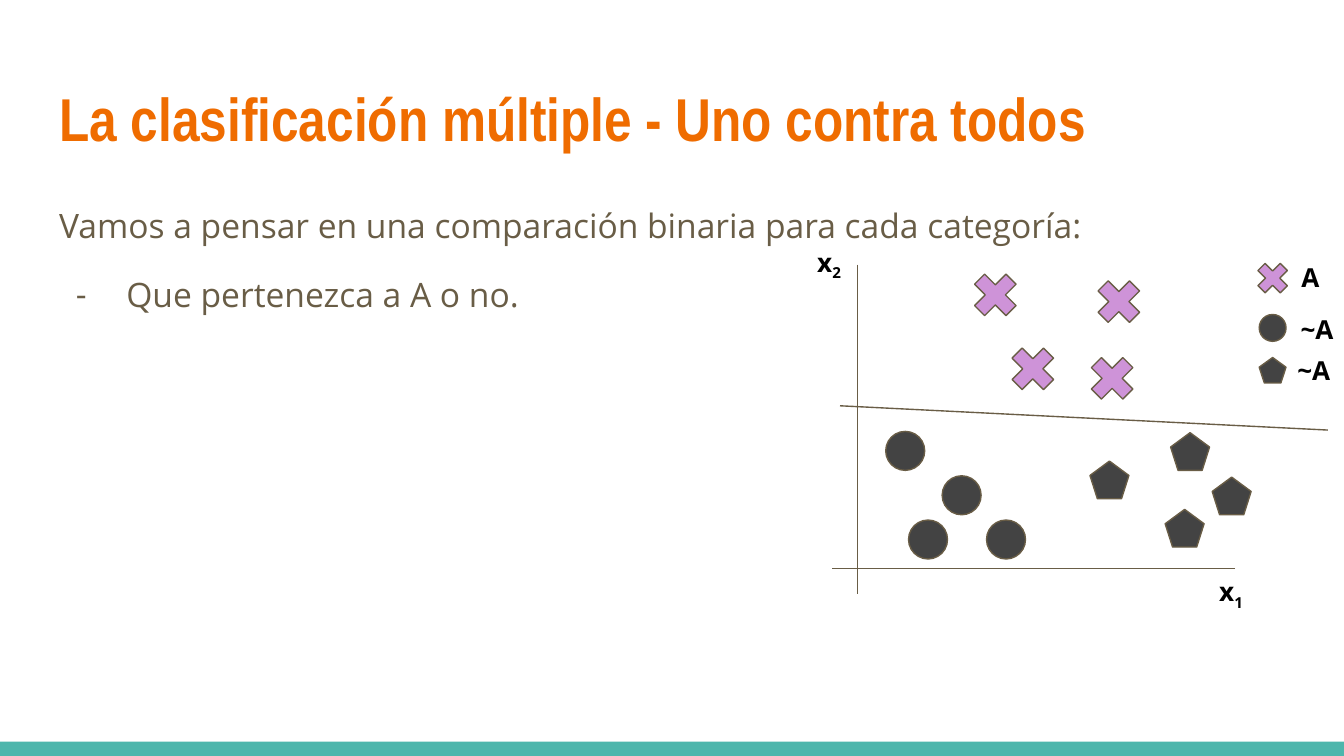
from pptx import Presentation
from pptx.dml.color import RGBColor
from pptx.enum.shapes import MSO_CONNECTOR, MSO_SHAPE as Shape
from pptx.enum.text import MSO_ANCHOR as Anchor, MSO_AUTO_SIZE as AutoSize, PP_ALIGN as Align
from pptx.oxml.ns import qn
from pptx.util import Pt
from lxml.etree import SubElement

TEAL, ORANGE, BROWN = "4DB6AC", "EF6C00", "695D46"
GREY, LILAC, BLACK = "434343", "CE93D8", "000000"
SANS, NARROW = "Open Sans", "Arial Narrow"
CROSS, CIRCLE, PENTAGON = Shape.MATH_MULTIPLY, Shape.OVAL, Shape.REGULAR_PENTAGON


def color(hex_code):
    return RGBColor.from_string(hex_code)


def add_span(para, text, size, font=SANS, fill=BROWN, bold=False, base=None):
    span = para.add_run()
    span.text = text
    span.font.size = Pt(size)
    span.font.name = font
    span.font.bold = bold
    span.font.color.rgb = color(fill)
    if base is not None:
        span.font._element.set("baseline", str(base))


def set_bullet(para, mark=None, margin=0, indent=0):
    props = para._p.get_or_add_pPr()
    props.set("marL", str(Pt(margin)))
    props.set("indent", str(Pt(indent)))
    if mark:
        tint = SubElement(props, qn("a:buClr"))
        SubElement(tint, qn("a:srgbClr"), val=BROWN)
        SubElement(props, qn("a:buFont"), typeface=SANS)
        SubElement(props, qn("a:buChar"), char=mark)
    else:
        SubElement(props, qn("a:buNone"))


def place(box, left, top, width, height):
    box.left, box.top, box.width, box.height = map(Pt, (left, top, width, height))


def set_frame(frame, anchor, wrap=True):
    frame.auto_size = AutoSize.NONE
    frame.word_wrap = wrap
    frame.vertical_anchor = anchor
    frame.margin_left = frame.margin_right = Pt(7.2)
    frame.margin_top = frame.margin_bottom = Pt(7.2)


def add_title(page, text):
    box = page.shapes.title
    place(box, 24.5, 35.3, 671, 55.4)
    set_frame(box.text_frame, Anchor.MIDDLE)
    para = box.text_frame.paragraphs[0]
    para.alignment = Align.LEFT
    add_span(para, text, 32.4, font=NARROW, fill=ORANGE, bold=True)


def add_body(page, intro, items):
    box = page.placeholders[1]
    place(box, 24.5, 99.4, 671, 260)
    frame = box.text_frame
    set_frame(frame, Anchor.TOP)
    first = frame.paragraphs[0]
    set_bullet(first)
    first.space_before = Pt(0)
    first.line_spacing = 1.15
    add_span(first, intro, 18)
    for item in items:
        para = frame.add_paragraph()
        set_bullet(para, "-", 36, -27)
        para.space_before = Pt(12)
        para.line_spacing = 1.15
        add_span(para, item, 18)


def add_figure(page, kind, left, top, width, height, fill, line=BROWN):
    figure = page.shapes.add_shape(kind, Pt(left), Pt(top), Pt(width), Pt(height))
    figure.shadow.inherit = False
    figure.fill.solid()
    figure.fill.fore_color.rgb = color(fill)
    if line:
        figure.line.color.rgb = color(line)
        figure.line.width = Pt(0.75)
    else:
        figure.line.fill.background()


def add_line(page, *ends):
    line = page.shapes.add_connector(MSO_CONNECTOR.STRAIGHT, *map(Pt, ends))
    line.line.color.rgb = color(BROWN)
    line.line.width = Pt(0.75)
    SubElement(line._element.spPr, qn("a:effectLst"))


def add_label(page, text, left, top, width, subscript=None):
    box = page.shapes.add_textbox(Pt(left), Pt(top), Pt(width), Pt(20.9))
    set_frame(box.text_frame, Anchor.MIDDLE, wrap=False)
    para = box.text_frame.paragraphs[0]
    para.alignment = Align.CENTER
    add_span(para, text, 14, fill=BLACK, bold=True)
    if subscript:
        add_span(para, subscript, 14, fill=BLACK, bold=True, base=-25000)


def add_plot(page):
    add_line(page, 459.4, 141.8, 459.4, 318)
    add_line(page, 661.7, 304.6, 445.7, 304.6)
    add_label(page, "x", 645.1, 307.4, 28.8, subscript="1")
    add_label(page, "x", 429.8, 131, 28.8, subscript="2")
    groups = [
        (CIRCLE, 20.9, 20.9, GREY, [(474.5, 231.1), (504.7, 254.9), (486.7, 278.6), (528.5, 278.6)]),
        (CROSS, 32.4, 32.4, LILAC, [(517, 141.8), (583.2, 145.4), (537.1, 181.4), (579.6, 186.5)]),
        (PENTAGON, 20.9, 20.2, GREY, [(583.9, 247), (624.2, 272.9), (627.1, 231.8), (649.4, 255.6)]),
    ]
    for kind, width, height, fill, points in groups:
        for left, top in points:
            add_figure(page, kind, left, top, width, height, fill)
    add_line(page, 450, 217.4, 711.4, 230.4)


def add_legend(page):
    rows = [
        (CROSS, 670.3, 137.5, 23, 23, LILAC, "A", 138.2, 28.8),
        (CIRCLE, 674.6, 168.5, 14.4, 14.4, GREY, "~A", 165.6, 36),
        (PENTAGON, 674.6, 191.5, 14.4, 13.7, GREY, "~A", 187.9, 32.4),
    ]
    for kind, left, top, width, height, fill, text, text_top, text_width in rows:
        add_figure(page, kind, left, top, width, height, fill)
        add_label(page, text, 687.6, text_top, text_width)


def main():
    deck = Presentation()
    deck.slide_width, deck.slide_height = Pt(720), Pt(405)
    page = deck.slides.add_slide(deck.slide_layouts[1])
    add_figure(page, Shape.RECTANGLE, 0, 397.4, 720, 7.6, TEAL, line=None)
    add_title(page, "La clasificación múltiple - Uno contra todos")
    add_body(
        page,
        "Vamos a pensar en una comparación binaria para cada categoría:",
        ["Que pertenezca a A o no."],
    )
    add_plot(page)
    add_legend(page)
    deck.save("out.pptx")


if __name__ == "__main__":
    main()
